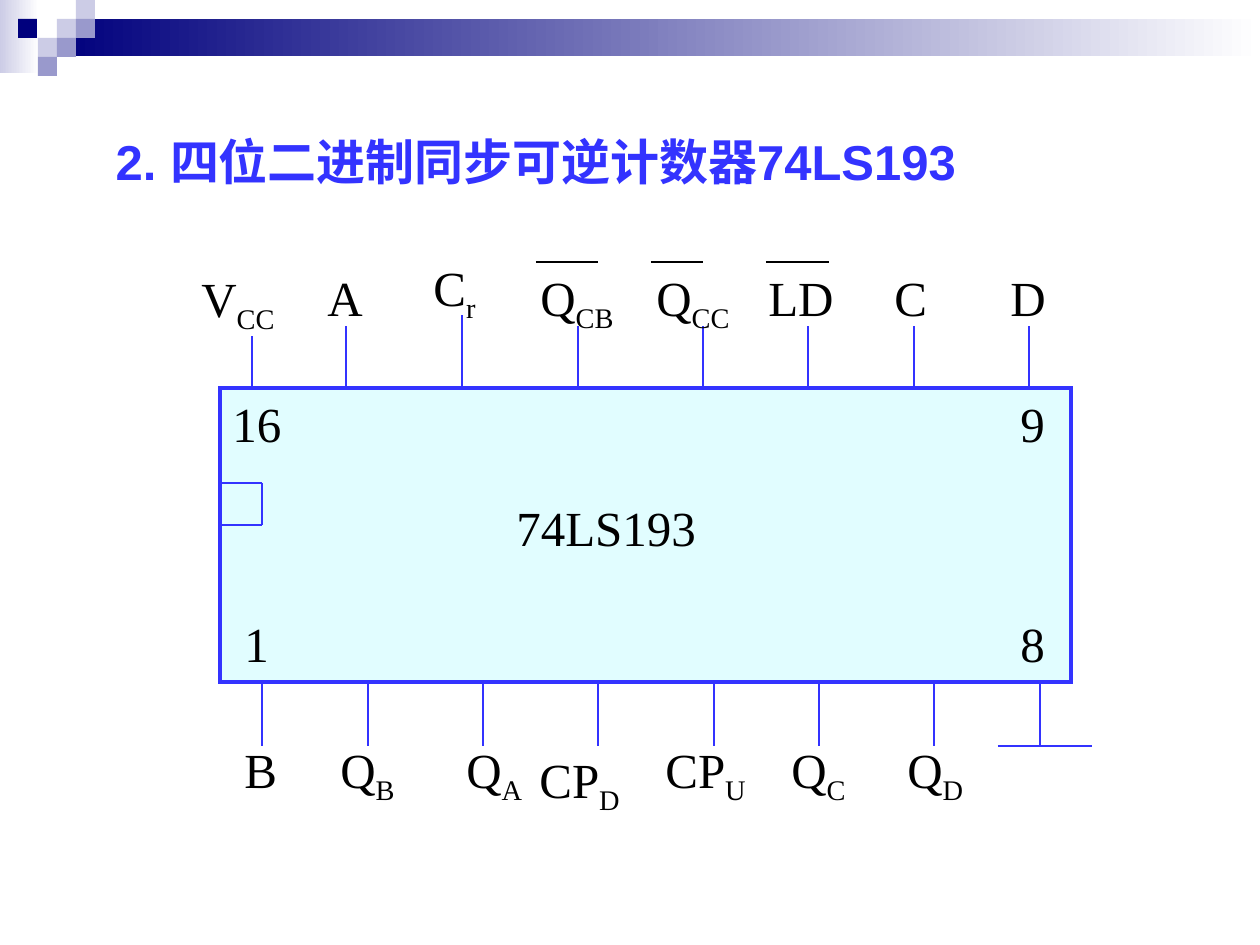
import pptx
import pptx.util
import pptx.dml.color
import pptx.enum.shapes
import pptx.enum.text
import pptx.oxml.ns
import lxml.etree

SCALE = 914400 / 126  # EMU per px
HUES = {"blue": "3333FF", "navy": "00007D", "mid": "9999CC", "pale": "CCCCE6",
        "chip": "E1FDFF", "white": "FFFFFF", "black": "000000"}

deck = pptx.Presentation()
deck.slide_width = pptx.util.Inches(10)
deck.slide_height = pptx.util.Inches(7.5)
slide = deck.slides.add_slide(deck.slide_layouts[5])
shapes = slide.shapes
rect = pptx.enum.shapes.MSO_SHAPE.RECTANGLE
line = pptx.enum.shapes.MSO_CONNECTOR.STRAIGHT
fit = pptx.enum.text.MSO_AUTO_SIZE
rgb = {k: pptx.dml.color.RGBColor.from_string(v) for k, v in HUES.items()}


def emu(*nums):
    return [round(n * SCALE) for n in nums]


def write(frame, parts, face, hue, bold=False):
    """Add runs to the first paragraph; every part after the first is subscript."""
    para = frame.paragraphs[0]
    para.alignment = pptx.enum.text.PP_ALIGN.LEFT
    for i, part in enumerate(parts):
        run = para.add_run()
        run.text = part
        run.font.name, run.font.size = face, pptx.util.Pt(28)
        run.font.bold, run.font.color.rgb = bold, rgb[hue]
        if i:
            run.font._element.set("baseline", "-25000")


# Header bands, fading to white on the right
for x, y, w, h, hue in [(0, 0, 39, 73, "pale"), (57, 19, 1203, 37, "navy")]:
    band = shapes.add_shape(rect, *emu(x, y, w, h))
    band.shadow.inherit = False
    band.line.fill.background()
    band.fill.gradient()
    band.fill.gradient_angle = 0
    for stop, tone in zip(band.fill.gradient_stops, (hue, "white")):
        stop.color.rgb = rgb[tone]

# Header squares
for x, y, hue in [(57, 19, "pale"), (76, 0, "pale"), (76, 19, "mid"), (38, 38, "pale"),
                  (18, 19, "navy"), (57, 38, "mid"), (38, 57, "mid")]:
    tile = shapes.add_shape(rect, *emu(x, y, 19, 19))
    tile.shadow.inherit = False
    tile.line.fill.background()
    tile.fill.solid()
    tile.fill.fore_color.rgb = rgb[hue]

# Title
title = shapes.title
title.left, title.top, title.width, title.height = emu(103, 125, 920, 72)
frame = title.text_frame
frame.word_wrap = True
frame.auto_size = fit.NONE
frame.vertical_anchor = pptx.enum.text.MSO_ANCHOR.TOP
write(frame, ["2. 四位二进制同步可逆计数器74LS193"], "Arial", "blue", True)

# Chip body, with square corners
LEFT, TOP, BASE = 220, 388, 682
chip = shapes.add_shape(rect, *emu(LEFT, TOP, 851, BASE - TOP))
chip.shadow.inherit = False
chip.fill.solid()
chip.fill.fore_color.rgb = rgb["chip"]
chip.line.color.rgb = rgb["blue"]
chip.line.width = pptx.util.Pt(2.75)
edge = chip._element.spPr.find(pptx.oxml.ns.qn("a:ln"))
lxml.etree.SubElement(edge, pptx.oxml.ns.qn("a:miter")).set("lim", "800000")

# Pins, ground bar, notch and overbars
tips = [(252, 336), (346, 326), (462, 315), (578, 326),
        (703, 326), (808, 326), (914, 326), (1029, 326)]
feet = [262, 368, 483, 598, 714, 819, 934, 1040]
wires = [(x, TOP, x, y, "blue") for x, y in tips]
wires += [(x, BASE, x, 746, "blue") for x in feet]
wires += [(998, 746, 1092, 746, "blue"), (LEFT, 483, 262, 483, "blue"),
          (262, 483, 262, 525, "blue"), (262, 525, LEFT, 525, "blue")]
wires += [(a, 262, b, 262, "black") for a, b in [(536, 598), (651, 703), (766, 829)]]
for x1, y1, x2, y2, hue in wires:
    wire = shapes.add_connector(line, *emu(x1, y1, x2, y2))
    wire.line.color.rgb = rgb[hue]
    wire.line.width = pptx.util.Pt(0.75)
    lxml.etree.SubElement(wire._element.spPr, pptx.oxml.ns.qn("a:effectLst"))

# Labels: left, top, width, then base text and subscript
labels = [
    (232, 607, 49, "1"), (1008, 607, 49, "8"), (1008, 387, 49, "9"), (220, 387, 74, "16"),
    (504, 491, 220, "74LS193"),
    (189, 262, 123, "V", "CC"), (315, 261, 60, "A"), (421, 251, 67, "C", "r"),
    (528, 261, 98, "Q", "CB"), (644, 261, 98, "Q", "CC"), (756, 261, 91, "LD"),
    (882, 261, 58, "C"), (998, 261, 60, "D"),
    (232, 733, 58, "B"), (328, 733, 79, "Q", "B"), (454, 733, 81, "Q", "A"),
    (527, 743, 106, "CP", "D"), (653, 733, 106, "CP", "U"),
    (779, 733, 79, "Q", "C"), (895, 733, 81, "Q", "D"),
]
for x, y, w, *parts in labels:
    box = shapes.add_textbox(*emu(x, y, w, 79 if len(parts) > 1 else 72))
    frame = box.text_frame
    frame.word_wrap = w > 110  # only the roomy boxes
    frame.auto_size = fit.SHAPE_TO_FIT_TEXT
    write(frame, parts, "Times New Roman", "black")

deck.save("out.pptx")
